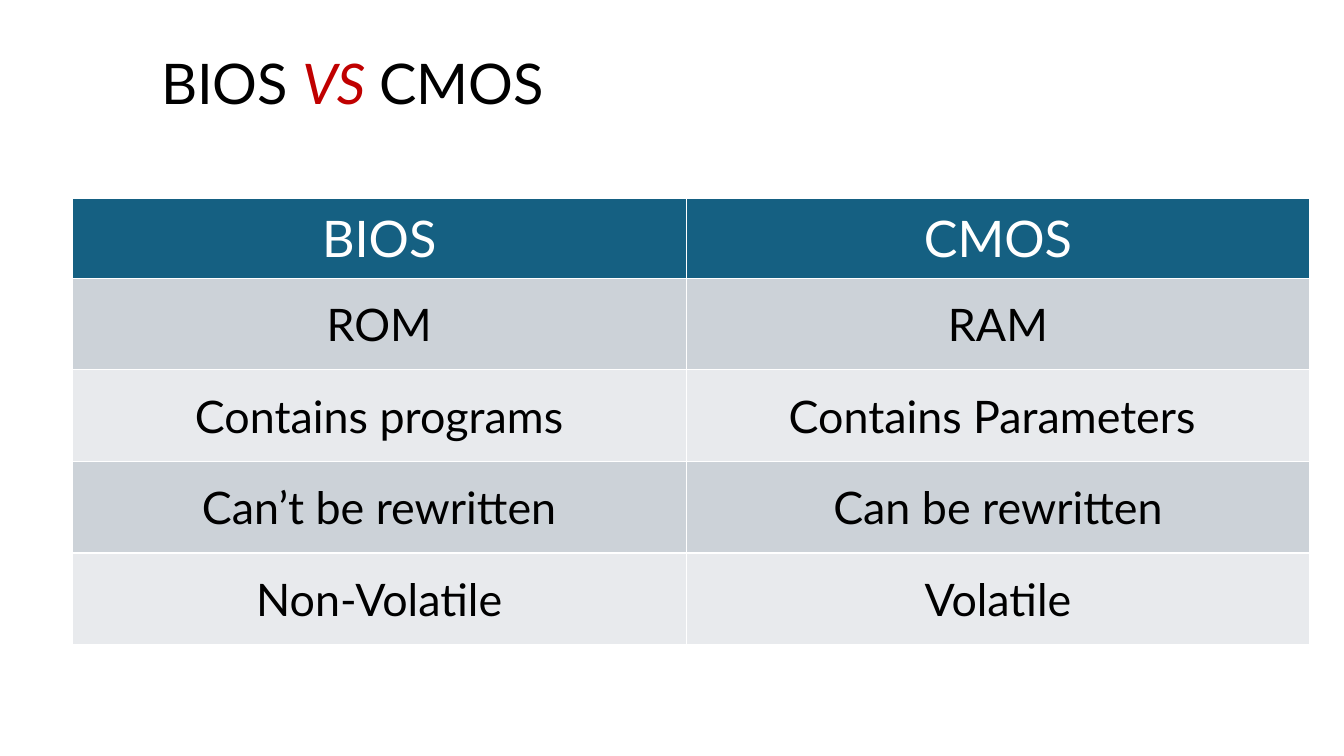
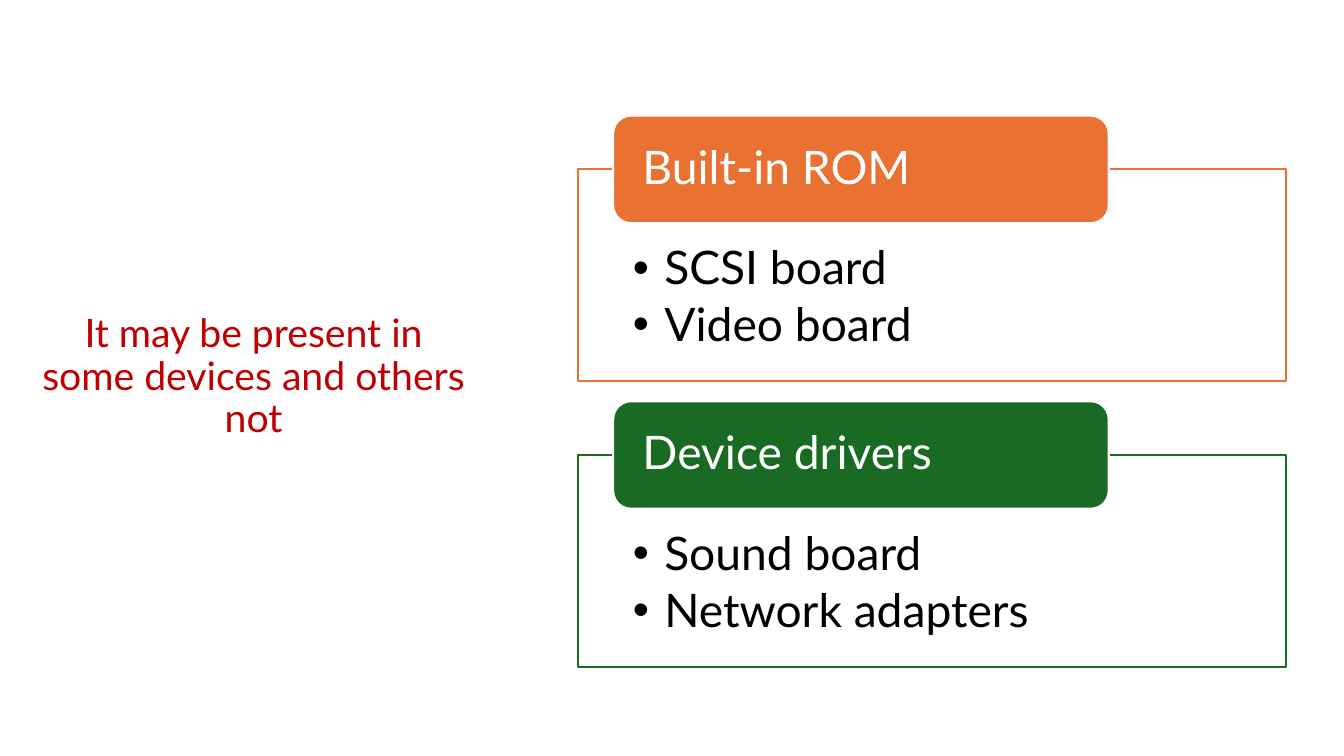
"""Build two slides: a BIOS and CMOS comparison table, and ROM and driver groups."""
from lxml import etree
from pptx import Presentation
from pptx import util as u
from pptx.dml import color as colors
from pptx.enum import shapes, text
from pptx.oxml import ns

FONT = "Lato"
BLACK, WHITE, RED = "000000", "FFFFFF", "C00000"
BLUE, ORANGE, GREEN = "156082", "E97132", "196B24"
BANDS = ["CCD2D8", "E8EAED"]
LEFT, CENTER = text.PP_ALIGN.LEFT, text.PP_ALIGN.CENTER
MIDDLE = text.MSO_ANCHOR.MIDDLE


def paint(fill, color):
    fill.solid()
    fill.fore_color.rgb = colors.RGBColor.from_string(color)


def write(paragraph, content, size, color=BLACK, italic=False, align=LEFT, spacing=0.9, after=0):
    paragraph.alignment = align
    paragraph.line_spacing = spacing
    paragraph.space_after = u.Pt(after)
    run = paragraph.add_run()
    run.text = content
    run.font.name = FONT
    run.font.size = u.Pt(size)
    run.font.bold = False
    run.font.italic = italic
    paint(run.font.fill, color)


presentation = Presentation()
presentation.slide_width = u.Pt(960)
presentation.slide_height = u.Pt(540)
blank = presentation.slide_layouts[6]

slide = presentation.slides.add_slide(blank)
title = slide.shapes.add_textbox(u.Pt(108), u.Pt(27.4), u.Pt(790), u.Pt(69)).text_frame
title.word_wrap = True
title.vertical_anchor = MIDDLE
for content, color, italic in [("BIOS ", BLACK, False), ("VS", RED, True), (" CMOS", BLACK, False)]:
    write(title.paragraphs[0], content, 40, color, italic=italic)

rows = [
    ("BIOS", "CMOS"),
    ("ROM", "RAM"),
    ("Contains programs", "Contains Parameters "),
    ("Can’t be rewritten", "Can be rewritten"),
    ("Non-Volatile", "Volatile"),
]
table = slide.shapes.add_table(len(rows), 2, u.Pt(51.4), u.Pt(141.4), u.Pt(884), u.Pt(319)).table
for column, width in zip(table.columns, [439, 445]):
    column.width = u.Pt(width)
for row_index, labels in enumerate(rows):
    header = row_index == 0
    table.rows[row_index].height = u.Pt(57.4 if header else 65.4)
    for column_index, label in enumerate(labels):
        cell = table.cell(row_index, column_index)
        cell.vertical_anchor = MIDDLE
        cell.margin_left = cell.margin_right = u.Pt(11.5)
        cell.margin_top = cell.margin_bottom = u.Pt(5.8)
        write(cell.text_frame.paragraphs[0], label, 36 if header else 32,
              WHITE if header else BLACK, align=CENTER, spacing=1.0)
        properties = cell._tc.get_or_add_tcPr()
        for side in ["lnL", "lnR", "lnT", "lnB"]:
            border = etree.SubElement(properties, ns.qn(f"a:{side}"), w=str(u.Pt(1)))
            border_fill = etree.SubElement(border, ns.qn("a:solidFill"))
            etree.SubElement(border_fill, ns.qn("a:srgbClr"), val=WHITE)
        paint(cell.fill, BLUE if header else BANDS[(row_index - 1) % 2])

slide = presentation.slides.add_slide(blank)
groups = [
    ("Built-in ROM", ORANGE, ["SCSI board", "Video board"]),
    ("Device drivers", GREEN, ["Sound board", "Network adapters"]),
]
for index, (heading, color, items) in enumerate(groups):
    top = 121 + 204 * index
    frame = slide.shapes.add_shape(shapes.MSO_SHAPE.RECTANGLE, u.Pt(412.8), u.Pt(top), u.Pt(505.6), u.Pt(151.2))
    tab = slide.shapes.add_shape(shapes.MSO_SHAPE.ROUNDED_RECTANGLE, u.Pt(438), u.Pt(top - 38.4),
                                 u.Pt(354), u.Pt(76.8))
    for shape, fill, line, margins, anchor in [
        (frame, WHITE, color, (39.2, 54, 39.2, 18.5), text.MSO_ANCHOR.TOP),
        (tab, color, WHITE, (17.2, 3.6, 17.2, 3.6), MIDDLE),
    ]:
        shape.shadow.inherit = False
        paint(shape.fill, fill)
        paint(shape.line.fill, line)
        shape.line.width = u.Pt(1.5)
        body = shape.text_frame
        body.word_wrap = True
        body.vertical_anchor = anchor
        body.margin_left, body.margin_top, body.margin_right, body.margin_bottom = map(u.Pt, margins)

    write(tab.text_frame.paragraphs[0], heading, 33, WHITE)
    for item_index, item in enumerate(items):
        body = frame.text_frame
        paragraph = body.add_paragraph() if item_index else body.paragraphs[0]
        properties = paragraph._p.get_or_add_pPr()
        properties.set("marL", str(u.Pt(22.5)))
        properties.set("indent", str(u.Pt(-22.5)))
        etree.SubElement(properties, ns.qn("a:buFont"), typeface="Arial")
        etree.SubElement(properties, ns.qn("a:buChar"), char="•")
        write(paragraph, item, 33, after=5)

note = slide.shapes.add_textbox(u.Pt(17.3), u.Pt(211), u.Pt(327.6), u.Pt(117.4)).text_frame
note.word_wrap = True
note.vertical_anchor = MIDDLE
write(note.paragraphs[0], "It may be present in some devices and others not", 28, RED, align=CENTER)

presentation.save("out.pptx")
